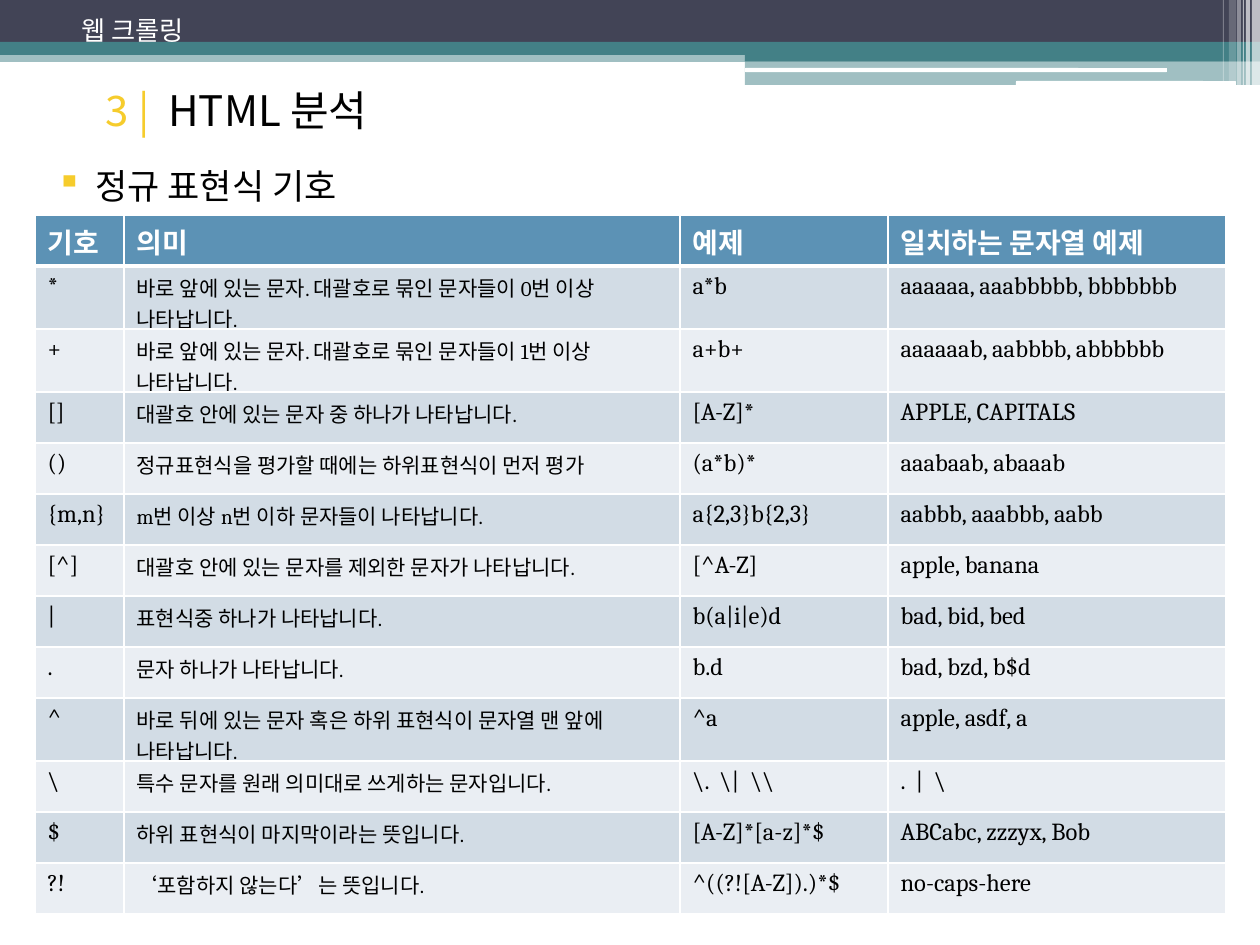
import pptx
import pptx.util
import pptx.dml.color
import pptx.enum.shapes
import pptx.enum.text
import pptx.oxml.ns
from lxml import etree

RGBColor = pptx.dml.color.RGBColor
WHITE = RGBColor(0xFF, 0xFF, 0xFF)
BLACK = RGBColor(0, 0, 0)
NAVY = RGBColor(0x42, 0x44, 0x56)
TEAL = RGBColor(0x43, 0x80, 0x86)
YELLOW = RGBColor(0xF6, 0xCC, 0x2C)
HEADER_BLUE = RGBColor(0x5C, 0x92, 0xB5)
BAND_DARK = RGBColor(0xD2, 0xDC, 0xE5)
BAND_LIGHT = RGBColor(0xEA, 0xEE, 0xF3)

PX = 914400 // 126
SANS = "Noto Sans CJK KR"
SERIF = "Cambria"
RECTANGLE = pptx.enum.shapes.MSO_SHAPE.RECTANGLE
ROUNDED = pptx.enum.shapes.MSO_SHAPE.ROUNDED_RECTANGLE

BANNER = [
    (RECTANGLE, 0, 50, 1260, 12, TEAL, 50),
    (RECTANGLE, 0, 0, 1260, 43, NAVY, 100),
    (RECTANGLE, 0, 42, 1260, 13, TEAL, 100),
    (RECTANGLE, 745, 49, 515, 12, TEAL, 100),
    (RECTANGLE, 745, 60, 515, 25, TEAL, 50),
    (ROUNDED, 745, 68, 422, 4, WHITE, 100),
    (ROUNDED, 1016, 81, 220, 5, WHITE, 100),
    (RECTANGLE, 1252, 0, 8, 85, WHITE, 65),
    (RECTANGLE, 1246, 0, 4, 85, WHITE, 65),
    (RECTANGLE, 1243, 0, 1, 85, WHITE, 60),
    (RECTANGLE, 1237, 0, 4, 85, WHITE, 40),
    (RECTANGLE, 1229, 0, 7, 81, WHITE, 20),
    (RECTANGLE, 1223, 0, 1, 81, WHITE, 30),
]
TEXTS = [
    (93, 45, 1006, 97, 24, SANS, [("3 |  ", YELLOW), ("HTML 분석", BLACK)], None),
    (69, -10, 882, 59, 15, SANS, [("웹 크롤링", WHITE)], None),
    (44, 135, 1191, 73, 20, SERIF, [("정규 표현식 기호", BLACK)], "▪"),
]
TABLE_LEFT, TABLE_TOP = 35, 215
COLUMN_WIDTHS = [89, 556, 208, 338]
ROW_HEIGHT, TALL_ROW_HEIGHT = 51, 63
TALL_ROWS = {1, 2, 9}
ROWS = [
    ("기호", "의미", "예제", "일치하는 문자열 예제"),
    ("*", "바로 앞에 있는 문자. 대괄호로 묶인 문자들이 0번 이상 나타납니다.", "a*b", "aaaaaa, aaabbbbb, bbbbbbb"),
    ("+", "바로 앞에 있는 문자. 대괄호로 묶인 문자들이 1번 이상 나타납니다.", "a+b+", "aaaaaab, aabbbb, abbbbbb"),
    ("[]", "대괄호 안에 있는 문자 중 하나가 나타납니다.", "[A-Z]*", "APPLE, CAPITALS"),
    ("()", "정규표현식을 평가할 때에는 하위표현식이 먼저 평가", "(a*b)*", "aaabaab, abaaab"),
    ("{m,n}", "m번 이상 n번 이하 문자들이 나타납니다.", "a{2,3}b{2,3}", "aabbb, aaabbb, aabb"),
    ("[^]", "대괄호 안에 있는 문자를 제외한 문자가 나타납니다.", "[^A-Z]", "apple, banana"),
    ("|", "표현식중 하나가 나타납니다.", "b(a|i|e)d", "bad, bid, bed"),
    (".", "문자 하나가 나타납니다.", "b.d", "bad, bzd, b$d"),
    ("^", "바로 뒤에 있는 문자 혹은 하위 표현식이 문자열 맨 앞에 나타납니다.", "^a", "apple, asdf, a"),
    ("\\", "특수 문자를 원래 의미대로 쓰게하는 문자입니다.", "\\.  \\|  \\\\", ".  |  \\"),
    ("$", "하위 표현식이 마지막이라는 뜻입니다.", "[A-Z]*[a-z]*$", "ABCabc, zzzyx, Bob"),
    ("?!", "‘포함하지 않는다’는 뜻입니다.", "^((?![A-Z]).)*$", "no-caps-here"),
]


def add_child(parent, tag, **attributes):
    return etree.SubElement(parent, pptx.oxml.ns.qn(tag), attributes)


def add_run(paragraph, text, size, font_name, color, bold=False):
    run = paragraph.add_run()
    run.text = text
    run.font.size = pptx.util.Pt(size)
    run.font.name = font_name
    run.font.bold = bold
    run.font.color.rgb = color
    add_child(run.font._element, "a:ea", typeface=SANS)


def add_banner(slide):
    for kind, left, top, width, height, color, opacity in BANNER:
        shape = slide.shapes.add_shape(kind, left * PX, top * PX, width * PX, height * PX)
        shape.shadow.inherit = False
        shape.line.fill.background()
        shape.fill.solid()
        shape.fill.fore_color.rgb = color
        if opacity < 100:
            color_element = shape._element.spPr.find(".//" + pptx.oxml.ns.qn("a:srgbClr"))
            add_child(color_element, "a:alpha", val=str(opacity * 1000))


def add_bullet(paragraph, character):
    properties = paragraph._p.get_or_add_pPr()
    properties.set("marL", str(39 * PX))
    properties.set("indent", str(-39 * PX))
    bullet_color = add_child(properties, "a:buClr")
    add_child(bullet_color, "a:srgbClr", val=str(YELLOW))
    add_child(properties, "a:buChar", char=character)


def add_texts(slide):
    for left, top, width, height, size, font_name, runs, bullet in TEXTS:
        box = slide.shapes.add_textbox(left * PX, top * PX, width * PX, height * PX)
        frame = box.text_frame
        frame.word_wrap = True
        frame.auto_size = pptx.enum.text.MSO_AUTO_SIZE.SHAPE_TO_FIT_TEXT
        frame.vertical_anchor = pptx.enum.text.MSO_ANCHOR.MIDDLE
        paragraph = frame.paragraphs[0]
        paragraph.line_spacing = 1.65
        if bullet:
            add_bullet(paragraph, bullet)
        for text, color in runs:
            add_run(paragraph, text, size, font_name, color)


def set_borders(cell, is_header):
    properties = cell._tc.get_or_add_tcPr()
    fill = properties.find(pptx.oxml.ns.qn("a:solidFill"))
    for side in ("L", "R", "T", "B"):
        points = 3 if is_header and side == "B" else 1
        border = etree.Element(pptx.oxml.ns.qn("a:ln" + side), w=str(pptx.util.Pt(points)))
        border_fill = add_child(border, "a:solidFill")
        add_child(border_fill, "a:srgbClr", val=str(WHITE))
        fill.addprevious(border)


def add_symbol_table(slide):
    heights = [TALL_ROW_HEIGHT if i in TALL_ROWS else ROW_HEIGHT for i in range(len(ROWS))]
    table = slide.shapes.add_table(
        len(ROWS), len(COLUMN_WIDTHS), TABLE_LEFT * PX, TABLE_TOP * PX,
        sum(COLUMN_WIDTHS) * PX, sum(heights) * PX).table
    for column, width in zip(table.columns, COLUMN_WIDTHS):
        column.width = width * PX
    for row_index, values in enumerate(ROWS):
        table.rows[row_index].height = heights[row_index] * PX
        is_header = row_index == 0
        band = HEADER_BLUE if is_header else BAND_DARK if row_index % 2 else BAND_LIGHT
        for column_index, text in enumerate(values):
            cell = table.cell(row_index, column_index)
            cell.fill.solid()
            cell.fill.fore_color.rgb = band
            set_borders(cell, is_header)
            size = 16 if is_header else 12 if column_index == 1 else 14
            add_run(cell.text_frame.paragraphs[0], text, size, SERIF,
                    WHITE if is_header else BLACK, is_header)


def main():
    presentation = pptx.Presentation()
    presentation.slide_width = pptx.util.Inches(10)
    presentation.slide_height = pptx.util.Inches(7.5)
    slide = presentation.slides.add_slide(presentation.slide_layouts[6])
    add_banner(slide)
    add_texts(slide)
    add_symbol_table(slide)
    presentation.save("out.pptx")


if __name__ == "__main__":
    main()
